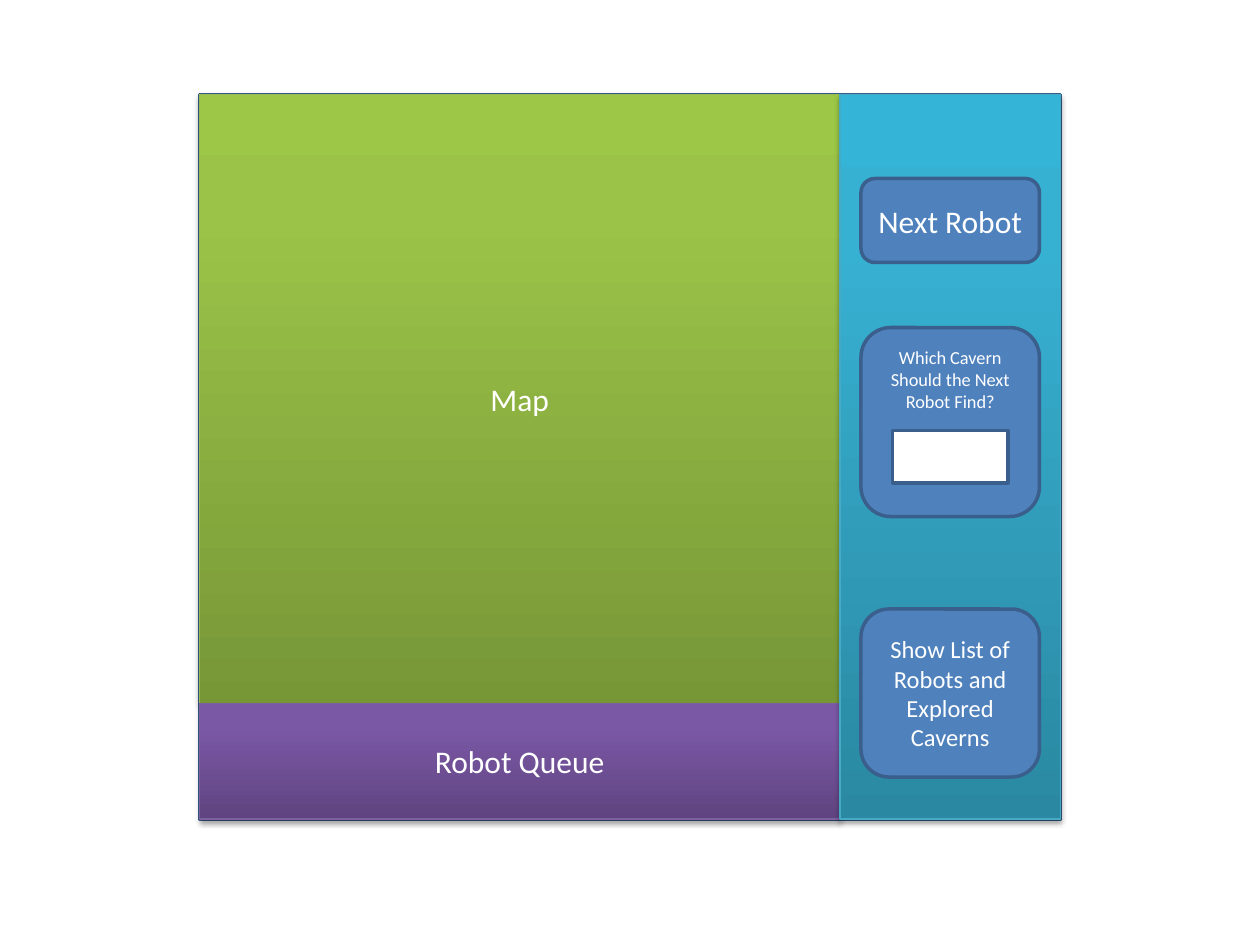
from copy import deepcopy

from lxml import etree
from pptx import Presentation
from pptx.dml.color import RGBColor
from pptx.enum import shapes, text
from pptx.oxml.ns import qn
from pptx.util import Pt

WHITE = RGBColor(0xFF, 0xFF, 0xFF)
BLUE = RGBColor(0x4F, 0x81, 0xBD)
NAVY = RGBColor(0x3A, 0x5F, 0x8C)
GREENS = [RGBColor(0x77, 0x97, 0x37), RGBColor(0x9B, 0xC3, 0x48), RGBColor(0x9D, 0xC7, 0x46)]
GREEN_EDGE = RGBColor(0x98, 0xB9, 0x55)
PURPLES = [RGBColor(0x5F, 0x44, 0x80), RGBColor(0x7B, 0x58, 0xA6), RGBColor(0x7C, 0x57, 0xA8)]
PURPLE_EDGE = RGBColor(0x7D, 0x60, 0xA0)
TEALS = [RGBColor(0x2A, 0x88, 0xA2), RGBColor(0x37, 0xB1, 0xD2), RGBColor(0x34, 0xB4, 0xD6)]
TEAL_EDGE = RGBColor(0x46, 0xAA, 0xC5)

FONT = "Calibri"
STOPS = (0, 0.8, 1)
LEFT, TOP, WIDTH, HEIGHT = 114, 54, 492, 414
SIDEBAR_WIDTH, QUEUE_HEIGHT = 126, 66
MAP_WIDTH, MAP_HEIGHT = WIDTH - SIDEBAR_WIDTH, HEIGHT - QUEUE_HEIGHT
SIDEBAR_LEFT = LEFT + MAP_WIDTH
BUTTON_WIDTH = 102
BUTTON_LEFT = SIDEBAR_LEFT + (SIDEBAR_WIDTH - BUTTON_WIDTH) / 2

REGIONS = [
    ("Map", (LEFT, TOP, MAP_WIDTH, MAP_HEIGHT), GREENS, GREEN_EDGE),
    ("Robot Queue", (LEFT, TOP + MAP_HEIGHT, MAP_WIDTH, QUEUE_HEIGHT), PURPLES, PURPLE_EDGE),
    ("", (SIDEBAR_LEFT, TOP, SIDEBAR_WIDTH, HEIGHT), TEALS, TEAL_EDGE),
]
MIDDLE = {"vertical_anchor": text.MSO_ANCHOR.MIDDLE}
UPPER = {"vertical_anchor": text.MSO_ANCHOR.TOP, "margin_top": Pt(5.5)}
BUTTONS = [
    ("Next Robot", 102, 48, 18, MIDDLE),
    ("Which Cavern Should the Next Robot Find?", 187.2, 108, 10.5, UPPER),
    ("Show List of Robots and Explored Caverns", 348, 96, 14, MIDDLE),
]
ANSWER_BOX = (510, 246, 66, 30)


def add_block(slide, bounds, fill=BLUE, edge=NAVY, edge_width=2, rounded=False):
    kind = shapes.MSO_SHAPE.ROUNDED_RECTANGLE if rounded else shapes.MSO_SHAPE.RECTANGLE
    block = slide.shapes.add_shape(kind, *map(Pt, bounds))
    block.shadow.inherit = False
    block.line.color.rgb = edge
    block.line.width = Pt(edge_width)
    if isinstance(fill, list):
        shade(block, fill)
    else:
        block.fill.solid()
        block.fill.fore_color.rgb = fill
    return block


def shade(block, colors):
    block.fill.gradient()
    block.fill.gradient_angle = 90
    stop_list = block._element.spPr.find(qn("a:gradFill")).find(qn("a:gsLst"))
    stop_list.append(deepcopy(stop_list[-1]))
    for stop, color, position in zip(block.fill.gradient_stops, colors, STOPS):
        stop.color.rgb = color
        stop.position = position


def add_shadow(block):
    effects = block._element.spPr.find(qn("a:effectLst"))
    shadow = etree.SubElement(effects, qn("a:outerShdw"), blurRad=str(Pt(3.1)),
                              dist=str(Pt(1.8)), dir="5400000", rotWithShape="0")
    black = etree.SubElement(shadow, qn("a:srgbClr"), val="000000")
    etree.SubElement(black, qn("a:alpha"), val="35000")


def write(block, label, size, layout):
    frame = block.text_frame
    frame.word_wrap = True
    for name, value in layout.items():
        setattr(frame, name, value)
    paragraph = frame.paragraphs[0]
    paragraph.alignment = text.PP_ALIGN.CENTER
    run = paragraph.add_run()
    run.text = label
    for name, value in {"name": FONT, "size": Pt(size)}.items():
        setattr(run.font, name, value)
    run.font.color.rgb = WHITE


def main():
    deck = Presentation()
    deck.slide_width, deck.slide_height = Pt(720), Pt(540)
    slide = deck.slides.add_slide(deck.slide_layouts[6])

    add_block(slide, (LEFT, TOP, WIDTH, HEIGHT))
    for label, bounds, colors, edge in REGIONS:
        region = add_block(slide, bounds, colors, edge, 0.75)
        add_shadow(region)
        if label:
            write(region, label, 18, MIDDLE)
    for label, top, height, size, layout in BUTTONS:
        button = add_block(slide, (BUTTON_LEFT, top, BUTTON_WIDTH, height), rounded=True)
        write(button, label, size, layout)
    add_block(slide, ANSWER_BOX, WHITE)

    deck.save("out.pptx")


if __name__ == "__main__":
    main()
